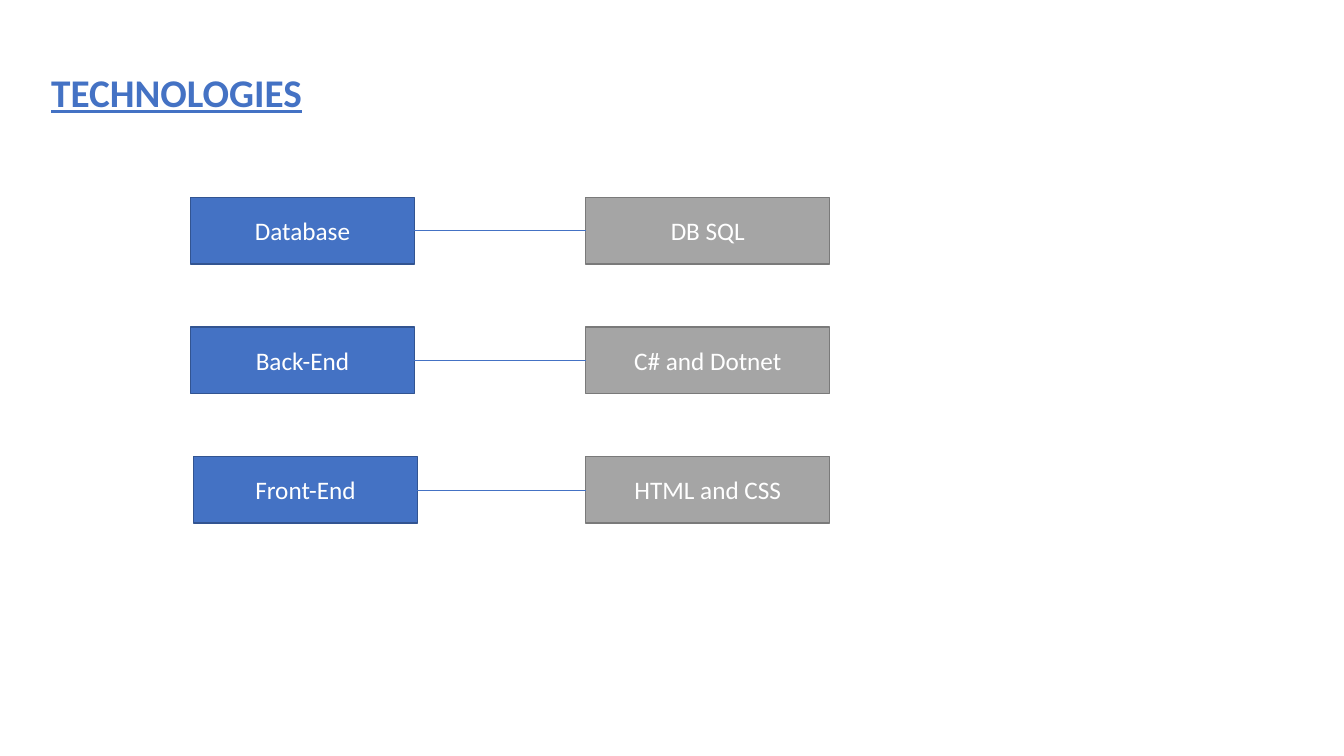
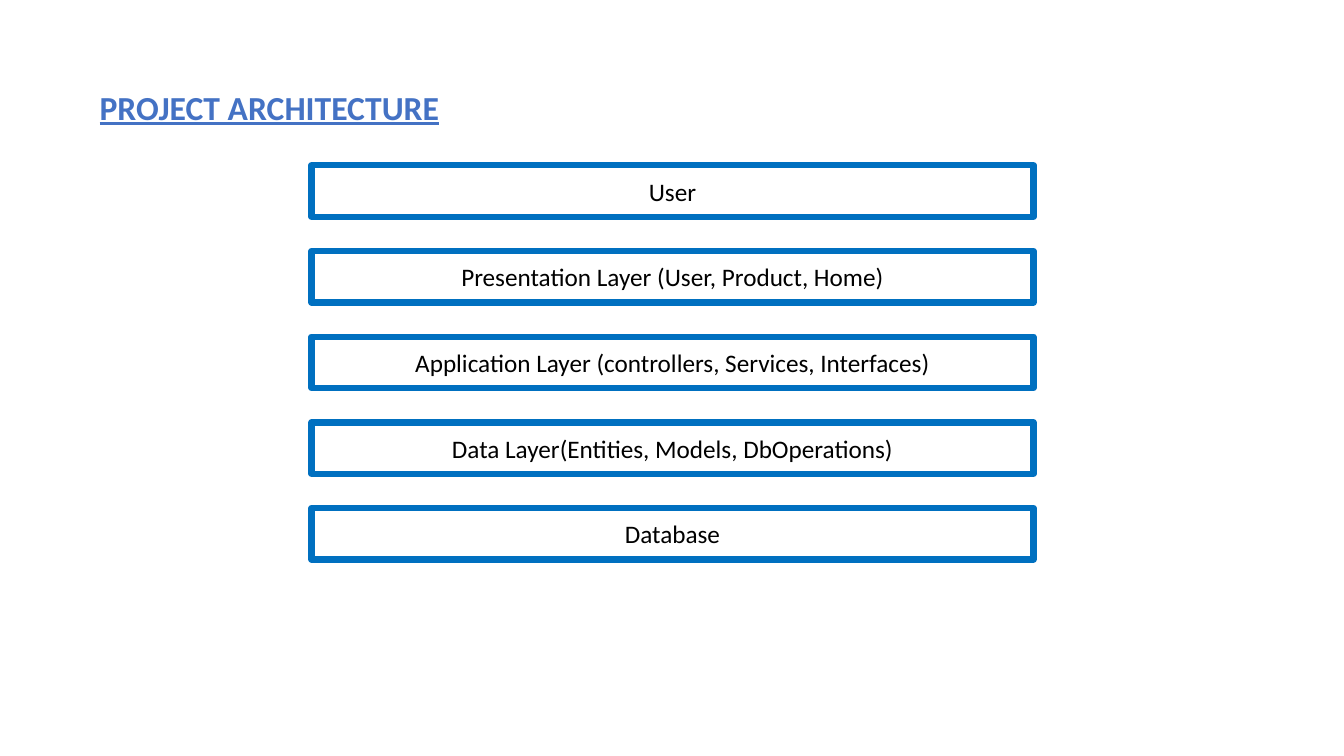
import pptx
import pptx.dml.color
import pptx.enum.shapes
import pptx.enum.text
import pptx.oxml.ns
import pptx.util
from lxml import etree

Inches = pptx.util.Inches
Pt = pptx.util.Pt
RGBColor = pptx.dml.color.RGBColor

# Shared colours and font
BLUE = RGBColor(0x44, 0x72, 0xC4)
DARK_BLUE = RGBColor(0x32, 0x54, 0x91)
GRAY = RGBColor(0xA5, 0xA5, 0xA5)
DARK_GRAY = RGBColor(0x7A, 0x7A, 0x7A)
BORDER_BLUE = RGBColor(0x00, 0x70, 0xC0)
WHITE = RGBColor(0xFF, 0xFF, 0xFF)
BLACK = RGBColor(0x00, 0x00, 0x00)
FONT = "Calibri"

# Box styles
TIER_STYLE = {"fill": BLUE, "line": DARK_BLUE, "width": 1, "text": WHITE}
TOOL_STYLE = {"fill": GRAY, "line": DARK_GRAY, "width": 1, "text": WHITE}
LAYER_STYLE = {"fill": WHITE, "line": BORDER_BLUE, "width": 4.5, "text": BLACK}

# Slide content: tier, its left edge, and the tool used
TECHNOLOGIES = [
    ("Database", 1.89, "DB SQL"),
    ("Back-End", 1.89, "C# and Dotnet"),
    ("Front-End", 1.92, "HTML and CSS"),
]
LAYERS = [
    "User",
    "Presentation Layer (User, Product, Home)",
    "Application Layer (controllers, Services, Interfaces)",
    "Data Layer(Entities, Models, DbOperations)",
    "Database",
]


def write_text(paragraph, text, size, color, **formats):
    run = paragraph.add_run()
    run.text = text
    run.font.color.rgb = color
    for name, value in {"name": FONT, "size": Pt(size), **formats}.items():
        setattr(run.font, name, value)


def add_title(slide, text, left, top, width, height, size):
    shape = slide.shapes.add_textbox(
        Inches(left), Inches(top), Inches(width), Inches(height))
    frame = shape.text_frame
    frame.word_wrap = True
    frame.auto_size = pptx.enum.text.MSO_AUTO_SIZE.SHAPE_TO_FIT_TEXT
    write_text(frame.paragraphs[0], text, size, BLUE, bold=True, underline=True)


def add_box(slide, text, left, top, width, height, style):
    shape = slide.shapes.add_shape(
        pptx.enum.shapes.MSO_SHAPE.RECTANGLE,
        Inches(left), Inches(top), Inches(width), Inches(height))
    shape.shadow.inherit = False
    shape.fill.solid()
    shape.fill.fore_color.rgb = style["fill"]
    shape.line.color.rgb = style["line"]
    shape.line.width = Pt(style["width"])
    frame = shape.text_frame
    frame.word_wrap = True
    frame.vertical_anchor = pptx.enum.text.MSO_ANCHOR.MIDDLE
    paragraph = frame.paragraphs[0]
    paragraph.alignment = pptx.enum.text.PP_ALIGN.CENTER
    write_text(paragraph, text, 18, style["text"])
    return shape


def join_boxes(slide, left_box, right_box):
    connector = slide.shapes.add_connector(
        pptx.enum.shapes.MSO_CONNECTOR.STRAIGHT, 0, 0, 0, 0)
    connector.begin_connect(left_box, 3)
    connector.end_connect(right_box, 1)
    connector.line.color.rgb = BLUE
    connector.line.width = Pt(0.5)
    # An empty effect list removes the theme shadow
    etree.SubElement(connector.element.spPr, pptx.oxml.ns.qn("a:effectLst"))


def build_technologies(slide):
    add_title(slide, "TECHNOLOGIES", 0.41, 0.63, 5.19, 0.57, size=28)
    first_top, last_top = 1.96, 4.53
    pitch = (last_top - first_top) / (len(TECHNOLOGIES) - 1)
    for row, (tier, left, tool) in enumerate(TECHNOLOGIES):
        top = first_top + row * pitch
        tier_box = add_box(slide, tier, left, top, 2.22, 0.66, TIER_STYLE)
        tool_box = add_box(slide, tool, 5.81, top, 2.42, 0.66, TOOL_STYLE)
        join_boxes(slide, tier_box, tool_box)


def build_architecture(slide):
    add_title(slide, "PROJECT ARCHITECTURE", 0.89, 0.81, 4.04, 0.5, size=24)
    for row, layer in enumerate(LAYERS):
        add_box(slide, layer, 3.09, 1.64 + row * 0.85, 7.16, 0.51, LAYER_STYLE)


def main():
    presentation = pptx.Presentation()
    presentation.slide_width = Inches(13.33)
    presentation.slide_height = Inches(7.5)
    blank_layout = presentation.slide_layouts[6]
    for build in (build_technologies, build_architecture):
        build(presentation.slides.add_slide(blank_layout))
    presentation.save("out.pptx")


if __name__ == "__main__":
    main()
